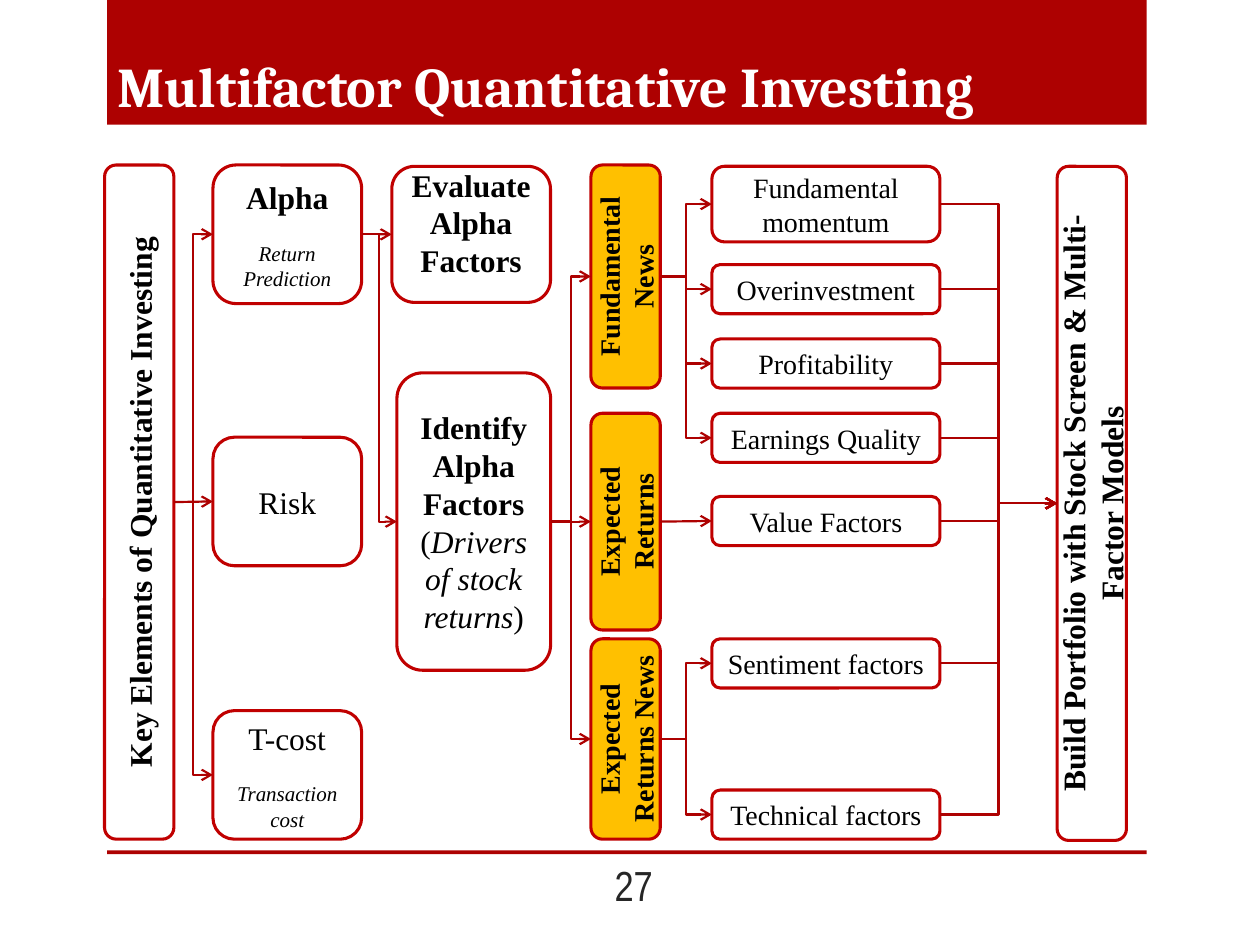
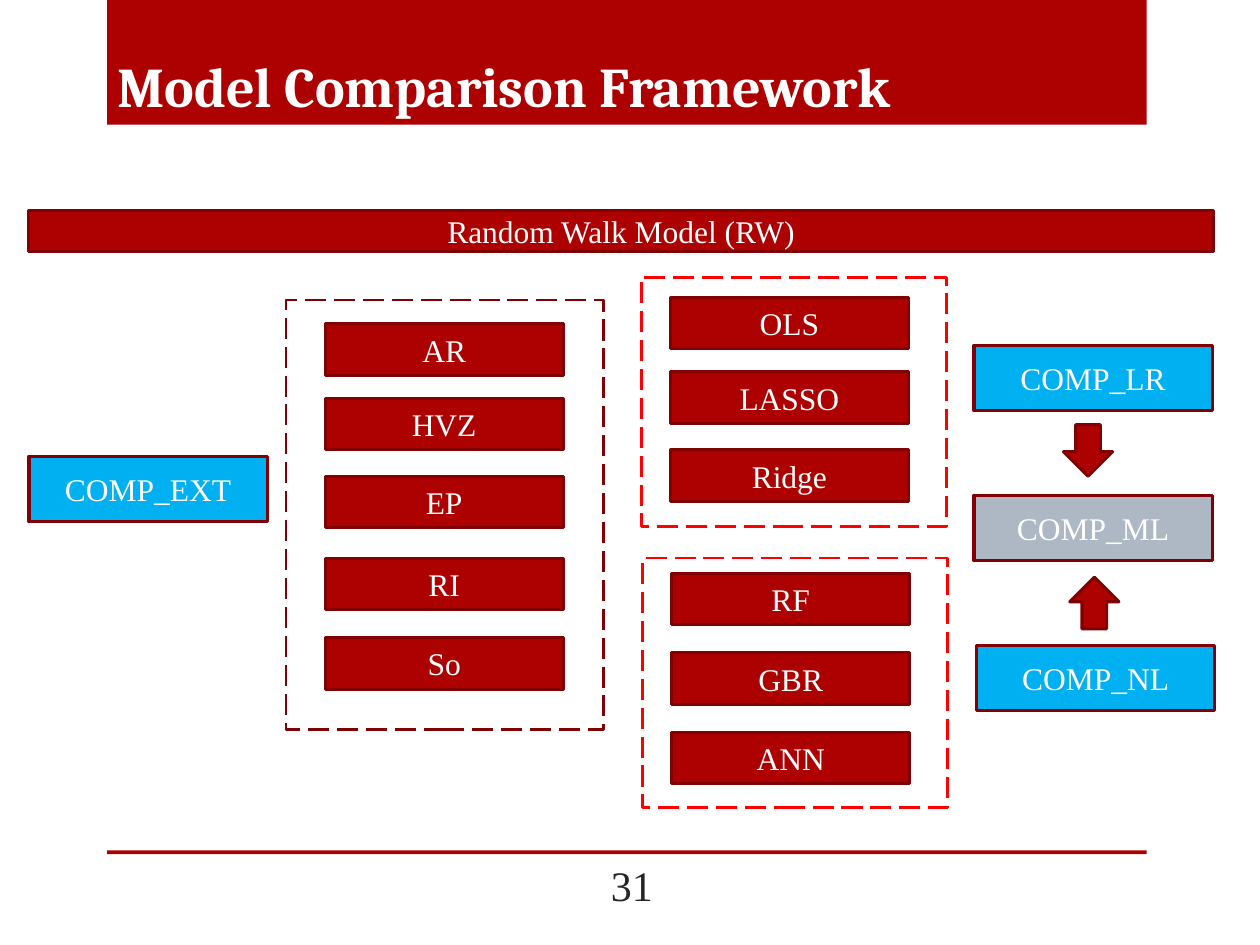
from dataclasses import dataclass
from typing import Any, NamedTuple, Optional

from lxml.etree import SubElement
from pptx import Presentation
from pptx.dml.color import RGBColor
from pptx.enum.dml import MSO_LINE
from pptx.enum.shapes import MSO_CONNECTOR, MSO_SHAPE
from pptx.enum.text import MSO_ANCHOR, MSO_AUTO_SIZE, PP_ALIGN
from pptx.oxml.ns import qn
from pptx.util import Emu, Pt

SCALE = 9144
RED = RGBColor(0xAD, 0x01, 0x01)
DARK = RGBColor(0x80, 0x01, 0x01)
EDGE = RGBColor(0xC0, 0x00, 0x00)
BRIGHT = RGBColor(0xFF, 0x00, 0x00)
GOLD = RGBColor(0xFF, 0xC0, 0x00)
BLUE = RGBColor(0x00, 0xB0, 0xF0)
GREY = RGBColor(0xAD, 0xB8, 0xC4)
WHITE = RGBColor(0xFF, 0xFF, 0xFF)
BLACK = RGBColor(0x00, 0x00, 0x00)
INK = RGBColor(0x26, 0x26, 0x26)
SERIF = "Times New Roman"


class Area(NamedTuple):
    x: int
    y: int
    w: int
    h: int


class Look(NamedTuple):
    kind: MSO_SHAPE
    fill: Optional[RGBColor]
    edge: Optional[RGBColor]
    ink: RGBColor = WHITE
    width: float = 1.75
    dash: Optional[MSO_LINE] = None


class Run(NamedTuple):
    text: str
    size: int = 18
    bold: bool = False
    slant: bool = False


class Line(NamedTuple):
    runs: tuple[Run, ...]
    space: int = 0


@dataclass(frozen=True)
class Box:
    area: Area
    look: Look
    lines: tuple[Line, ...] = ()
    turned: bool = False
    foot: int = 5
    angle: int = 0


@dataclass(frozen=True)
class Panel:
    area: Area
    edge: RGBColor
    left: int
    tops: tuple[int, ...]
    names: tuple[str, ...]


BAND = Look(MSO_SHAPE.RECTANGLE, RED, None)
CARD = Look(MSO_SHAPE.ROUNDED_RECTANGLE, WHITE, EDGE, BLACK)
NEWS = CARD._replace(fill=GOLD)
MODEL = Look(MSO_SHAPE.RECTANGLE, RED, DARK)
ARROW = MODEL._replace(kind=MSO_SHAPE.DOWN_ARROW)


def px(count: int) -> Emu:
    return Emu(count * SCALE)


def put(item: Any, values: dict[str, Any]) -> None:
    for name, value in values.items():
        setattr(item, name, value)


def place(area: Area) -> tuple[Emu, ...]:
    return tuple(px(side) for side in area)


def plain(text: str, size: int = 18, bold: bool = False) -> tuple[Line, ...]:
    return (Line((Run(text, size, bold),)),)


def noted(head: str, note: str, bold: bool = False) -> tuple[Line, ...]:
    return plain(head, bold=bold) + (Line((Run(note, 12, slant=True),), 14),)


def write(frame: Any, lines: tuple[Line, ...], ink: RGBColor, face: str = SERIF,
          align: PP_ALIGN = PP_ALIGN.CENTER) -> None:
    for spot, line in enumerate(lines):
        para = frame.add_paragraph() if spot else frame.paragraphs[0]
        put(para, {"alignment": align, "space_before": Pt(line.space)})
        for part in line.runs:
            run = para.add_run()
            run.text = part.text
            put(run.font, {"name": face, "size": Pt(part.size),
                           "bold": part.bold, "italic": part.slant})
            run.font.color.rgb = ink


def draw(shapes: Any, box: Box) -> Any:
    look = box.look
    shape = shapes.add_shape(look.kind, *place(box.area))
    shape.shadow.inherit = False
    shape.rotation = box.angle
    if look.fill is None:
        shape.fill.background()
    else:
        shape.fill.solid()
        shape.fill.fore_color.rgb = look.fill
    if look.edge is None:
        shape.line.fill.background()
    else:
        shape.line.color.rgb = look.edge
        put(shape.line, {"width": Pt(look.width), "dash_style": look.dash})
    frame = shape.text_frame
    put(frame, {"word_wrap": True, "vertical_anchor": MSO_ANCHOR.MIDDLE,
                "margin_bottom": px(box.foot)})
    if box.turned:
        frame_xml = shape.element.find(qn("p:txBody"))
        frame_xml.find(qn("a:bodyPr")).set("vert", "vert270")
    write(frame, box.lines, look.ink)
    return shape


def join(shapes: Any, start: Any, goal: Any, bent: bool = True) -> None:
    kind = MSO_CONNECTOR.ELBOW if bent else MSO_CONNECTOR.STRAIGHT
    link = shapes.add_connector(kind, start.left + start.width,
                                start.top + start.height // 2,
                                goal.left, goal.top + goal.height // 2)
    link.begin_connect(start, 3)
    link.end_connect(goal, 1)
    link.line.color.rgb = RED
    link.line.width = Pt(1.25)
    props = link.element.spPr
    SubElement(props.find(qn("a:ln")), qn("a:tailEnd"), type="arrow")
    SubElement(props, qn("a:effectLst"))


def start_slide(deck: Any, title: str, page: str, face: str) -> Any:
    slide = deck.slides.add_slide(deck.slide_layouts[5])
    shapes = slide.shapes
    draw(shapes, Box(Area(85, 0, 825, 99), BAND))
    draw(shapes, Box(Area(85, 675, 825, 3), BAND))
    head = shapes.title
    head.element.getparent().append(head.element)
    sides = place(Area(83, 0, 827, 99))
    put(head, dict(zip(("left", "top", "width", "height"), sides)))
    put(head.text_frame, {"vertical_anchor": MSO_ANCHOR.BOTTOM, "word_wrap": True,
                          "auto_size": MSO_AUTO_SIZE.NONE})
    write(head.text_frame, plain(title, 32, True), WHITE, "Cambria", PP_ALIGN.LEFT)
    note = shapes.add_textbox(*place(Area(445, 682, 83, 40))).text_frame
    put(note, {"word_wrap": True, "vertical_anchor": MSO_ANCHOR.MIDDLE})
    write(note, plain(page, 24), INK, face, PP_ALIGN.RIGHT)
    return shapes


def add_flow(deck: Any) -> None:
    shapes = start_slide(deck, "Multifactor Quantitative Investing", "27", "Arial Narrow")

    def card(area: Area, lines: tuple[Line, ...], foot: int = 5) -> Any:
        return draw(shapes, Box(area, CARD, lines, foot=foot))

    def pillar(x: int, y: int, h: int, text: str, size: int, look: Look) -> Any:
        lines = plain(text, size, True)
        return draw(shapes, Box(Area(x, y, 55, h), look, lines, turned=True))

    keys = pillar(83, 131, 535, "Key Elements of Quantitative Investing", 18, CARD)
    alpha = card(Area(169, 131, 118, 110), noted("Alpha", "Return Prediction", True))
    risk = card(Area(169, 347, 118, 102), plain("Risk"))
    cost = card(Area(169, 564, 118, 102), noted("T-cost", "Transaction cost"))
    judge = card(Area(311, 132, 126, 108),
                 plain("Evaluate Alpha", bold=True) + plain("Factors", bold=True), 24)
    drivers = Line((Run("("), Run("Drivers of stock returns", slant=True), Run(")")))
    find = card(Area(315, 296, 122, 236), plain("Identify Alpha", bold=True)
                + plain("Factors", bold=True) + (drivers,))
    basic, value, mood = (
        pillar(469, y, h, text, 16, NEWS) for y, h, text in (
            (131, 177, "Fundamental News"),
            (328, 172, "Expected Returns"),
            (507, 159, "Expected Returns News")))
    build = pillar(839, 132, 535,
                   "Build Portfolio with Stock Screen & Multi-Factor Models", 18, CARD)

    for goal in (alpha, risk, cost):
        join(shapes, keys, goal, goal is not risk)
    for goal in (judge, find):
        join(shapes, alpha, goal, goal is not judge)
    for goal in (basic, value, mood):
        join(shapes, find, goal, goal is not value)
    for source, y, h, text in (
            (basic, 132, 60, "Fundamental momentum"),
            (basic, 210, 39, "Overinvestment"),
            (basic, 269, 39, "Profitability"),
            (basic, 328, 39, "Earnings Quality"),
            (value, 394, 39, "Value Factors"),
            (mood, 507, 39, "Sentiment factors"),
            (mood, 627, 39, "Technical factors")):
        factor = card(Area(565, y, 181, h), plain(text, 16))
        join(shapes, source, factor, source is not value)
        join(shapes, factor, build)


def add_models(deck: Any) -> None:
    shapes = start_slide(deck, "Model Comparison Framework", "31", SERIF)
    draw(shapes, Box(Area(23, 167, 940, 33), MODEL, plain("Random Walk Model (RW)")))
    for panel in (
            Panel(Area(227, 238, 252, 341), DARK, 258, (257, 316, 378, 443, 506),
                  ("AR", "HVZ", "EP", "RI", "So")),
            Panel(Area(509, 220, 242, 198), BRIGHT, 532, (236, 295, 357),
                  ("OLS", "LASSO", "Ridge")),
            Panel(Area(510, 443, 242, 198), BRIGHT, 533, (455, 518, 581),
                  ("RF", "GBR", "ANN"))):
        group = shapes.add_group_shape().shapes
        for top, name in zip(panel.tops, panel.names):
            draw(group, Box(Area(panel.left, top, 189, 41), MODEL, plain(name)))
        draw(group, Box(panel.area, MODEL._replace(
            fill=None, edge=panel.edge, width=1.5, dash=MSO_LINE.LONG_DASH)))
    for x, y, fill, name in (
            (23, 362, BLUE, "COMP_EXT"), (773, 274, BLUE, "COMP_LR"),
            (775, 512, BLUE, "COMP_NL"), (773, 393, GREY, "COMP_ML")):
        draw(shapes, Box(Area(x, y, 189, 52), MODEL._replace(fill=fill), plain(name)))
    for x, y, angle in ((844, 337, 0), (849, 458, 180)):
        draw(shapes, Box(Area(x, y, 39, 41), ARROW, angle=angle))


def main() -> None:
    deck = Presentation()
    put(deck, {"slide_width": px(1000), "slide_height": px(750)})
    add_flow(deck)
    add_models(deck)
    deck.save("out.pptx")


if __name__ == "__main__":
    main()
